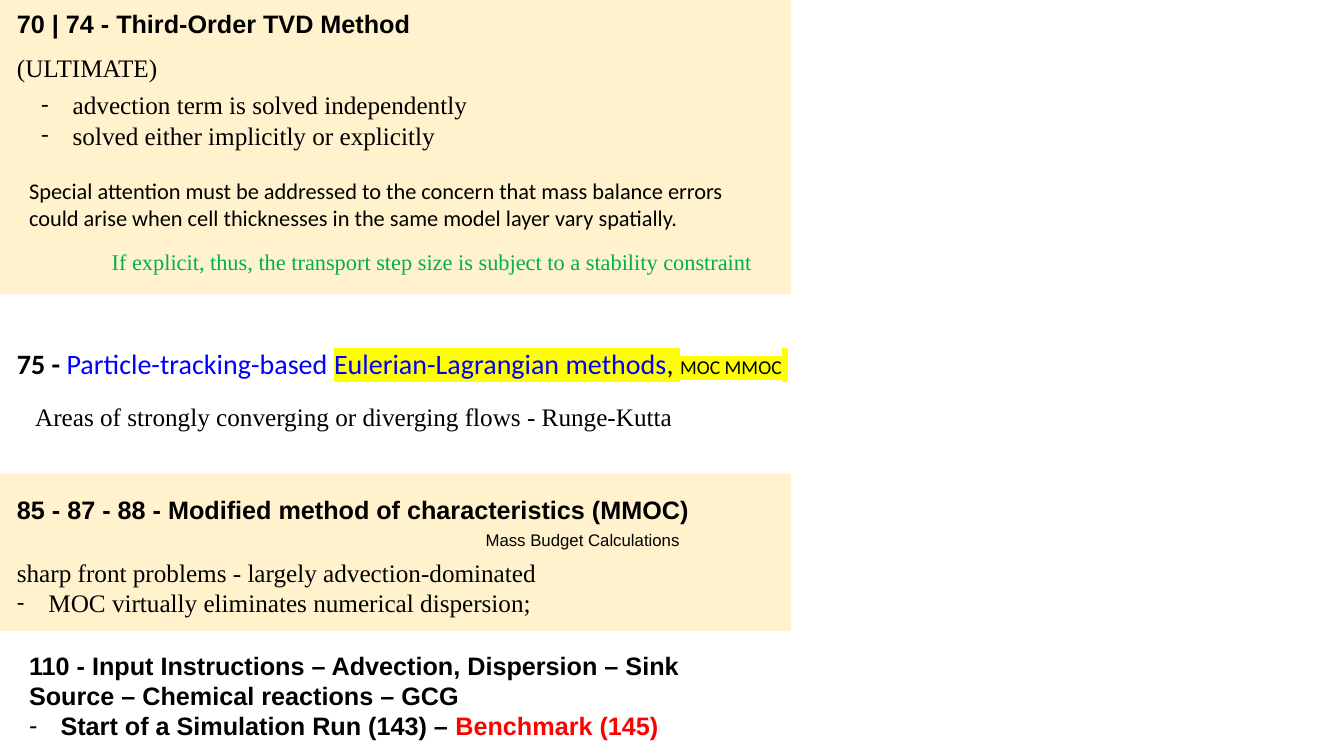
import pptx
import pptx.util
import pptx.dml.color
import pptx.enum.shapes
import pptx.enum.text
import pptx.oxml
import pptx.oxml.ns
import lxml.etree

Pt = pptx.util.Pt
qn = pptx.oxml.ns.qn
RGB = pptx.dml.color.RGBColor.from_string
COLORS = {
    "band": "FFF2CC",
    "black": "000000",
    "blue": "0000FF",
    "green": "00B050",
    "red": "FF0000",
    "yellow": "FFFF00",
}
SERIF = "Times New Roman"
SANS = "Arial"
BODY = "Calibri"

deck = pptx.Presentation()
deck.slide_width, deck.slide_height = Pt(960), Pt(540)
slide = deck.slides.add_slide(deck.slide_layouts[6])


def add_dash(paragraph, font):
    properties = paragraph._p.get_or_add_pPr()
    properties.set("marL", str(Pt(22.5)))
    properties.set("indent", str(-Pt(22.5)))
    lxml.etree.SubElement(properties, qn("a:buFont")).set("typeface", font)
    lxml.etree.SubElement(properties, qn("a:buChar")).set("char", "-")


def add_text(paragraph, text, font, size, color="black", bold=False, highlight=False):
    run = paragraph.add_run()
    run.text = text
    run.font.name = font
    run.font.size = Pt(size)
    run.font.bold = bold
    run.font.color.rgb = RGB(COLORS[color])
    if highlight:
        properties = run._r.get_or_add_rPr()
        marker = lxml.etree.Element(qn("a:highlight"))
        lxml.etree.SubElement(marker, qn("a:srgbClr")).set("val", COLORS["yellow"])
        properties.find(qn("a:latin")).addprevious(marker)


for top, height in [(338.4, 112.4), (0, 210.2)]:
    band = slide.shapes.add_shape(
        pptx.enum.shapes.MSO_SHAPE.RECTANGLE, 0, Pt(top), Pt(565.2), Pt(height))
    band.shadow.inherit = False
    band.fill.solid()
    band.fill.fore_color.rgb = RGB(COLORS["band"])
    band.line.fill.background()

notes = [
    ((5, 2.2, 314.6, 28.8), [
        ("", [("70 | 74 - Third-Order TVD Method", SANS, 18, "black", True)])]),
    ((5, 33.8, 181.4, 28.8), [
        ("", [("(ULTIMATE)", SERIF, 18)])]),
    ((5, 244.1, 581, 31.7), [
        ("", [("75 - ", BODY, 20, "black", True),
              ("Particle-tracking-based ", BODY, 20, "blue"),
              ("Eulerian-Lagrangian methods", BODY, 20, "blue", False, True),
              (", ", BODY, 20, "black", False, True),
              ("MOC MMOC", BODY, 14, "black", False, True),
              (" ", BODY, 20, "black", False, True)])]),
    ((22.3, 60.5, 481.7, 51.1), [
        ("dash", [("advection term is solved independently", SERIF, 18)]),
        ("dash", [("solved either implicitly or explicitly", SERIF, 18)])]),
    ((13.7, 123.1, 530.6, 77.8), [
        ("", [("Special attention must be addressed to the concern that mass balance errors "
               "could arise when cell thicknesses in the same model layer vary spatially.",
               BODY, 16)]),
        ("right", [("If explicit, thus, the transport step size is subject to a stability constraint",
                    SERIF, 16, "green")])]),
    ((18, 283, 601.2, 28.8), [
        ("", [("Areas of strongly converging or diverging flows - Runge-Kutta", SERIF, 18)])]),
    ((5, 349.2, 539.3, 28.8), [
        ("", [("85 - 87 - 88 - Modified method of characteristics (MMOC)",
               SANS, 18, "black", True)])]),
    ((5, 394.6, 480.2, 51.1), [
        ("", [("sharp front problems - largely advection-dominated", SERIF, 18)]),
        ("dash", [("MOC virtually eliminates numerical dispersion;", SERIF, 18)])]),
    ((339.8, 375.1, 158.4, 21.6), [
        ("", [("Mass Budget Calculations", SANS, 12)])]),
    ((13.7, 460.8, 480.2, 72.7), [
        ("", [("110 - Input Instructions – Advection, Dispersion – Sink Source – "
               "Chemical reactions – GCG", SANS, 18, "black", True)]),
        ("dash", [("Start of a Simulation Run (143) – ", SANS, 18, "black", True),
                  ("Benchmark (145)", SANS, 18, "red", True)])]),
]

for bounds, paragraphs in notes:
    frame = slide.shapes.add_textbox(*[Pt(length) for length in bounds]).text_frame
    frame.word_wrap = True
    frame.auto_size = pptx.enum.text.MSO_AUTO_SIZE.SHAPE_TO_FIT_TEXT
    for index, (style, pieces) in enumerate(paragraphs):
        paragraph = frame.add_paragraph() if index else frame.paragraphs[0]
        if style == "right":
            paragraph.alignment = pptx.enum.text.PP_ALIGN.RIGHT
            paragraph.space_before = Pt(12)
        if style == "dash":
            add_dash(paragraph, SANS if pieces[0][1] == SANS else BODY)
        for piece in pieces:
            add_text(paragraph, *piece)

deck.save("out.pptx")
